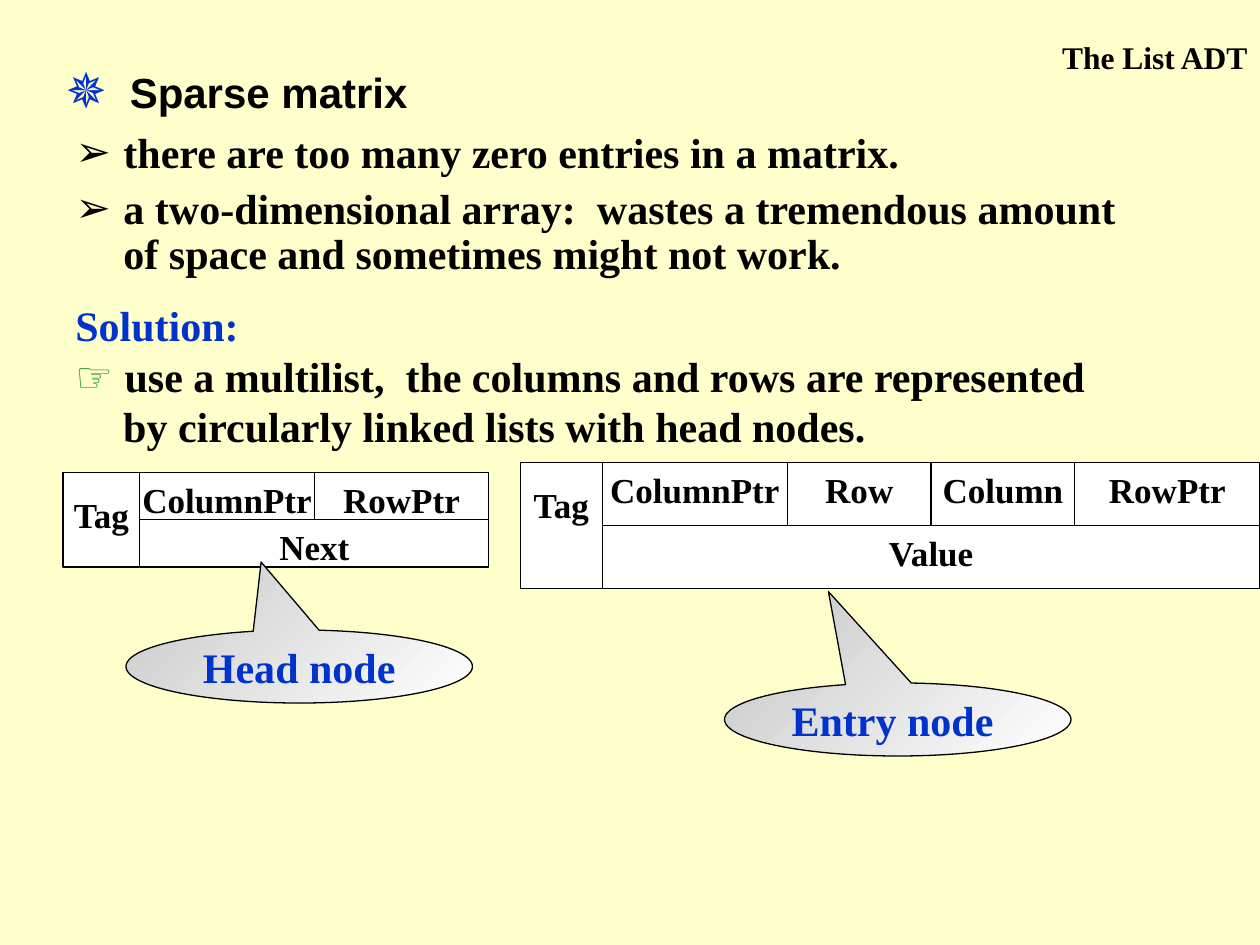
from dataclasses import dataclass

import lxml.etree
import pptx
import pptx.dml.color
import pptx.enum.shapes
import pptx.enum.text
import pptx.oxml.ns
import pptx.util
from pptx.util import Inches

ALIGN = pptx.enum.text.PP_ALIGN
ANCHOR = pptx.enum.text.MSO_ANCHOR
SHAPE = pptx.enum.shapes.MSO_SHAPE


@dataclass(frozen=True)
class Theme:
    """Colours, type faces and type sizes of the slide."""
    background: str = "FFFFCC"
    ink: str = "000000"
    accent: str = "0033CC"
    pointer: str = "339933"
    cell: str = "FFFFFF"
    callout_dark: str = "CFCFCF"
    serif: str = "Times New Roman"
    sans: str = "Arial"
    star_size: int = 28
    text_size: int = 24
    field_size: int = 20
    header_size: int = 18
    line_width: float = 0.75


THEME = Theme()


def rgb(value):
    """Turn a hex value into a colour."""
    return pptx.dml.color.RGBColor.from_string(value)


def set_format(target, **values):
    """Set each named attribute of the target."""
    for name, value in values.items():
        setattr(target, name, value)


def place(part, box):
    """Move a part to a box of left, top, width and height in inches."""
    names = ("left", "top", "width", "height")
    set_format(part, **dict(zip(names, map(Inches, box))))


def write(paragraph, words, size=THEME.text_size, color=THEME.ink, face=THEME.serif, bold=True):
    """Add one formatted run to a paragraph."""
    run = paragraph.add_run()
    run.text = words
    set_format(run.font, size=pptx.util.Pt(size), name=face, bold=bold)
    run.font.color.rgb = rgb(color)


def set_frame(shape, anchor=ANCHOR.TOP, wrap=True, side=0.1, top=0.05):
    """Set up a text frame and return it."""
    frame = shape.text_frame
    set_format(
        frame, word_wrap=wrap, vertical_anchor=anchor,
        auto_size=pptx.enum.text.MSO_AUTO_SIZE.NONE,
        margin_left=Inches(side), margin_right=Inches(side),
        margin_top=Inches(top), margin_bottom=Inches(0.05),
    )
    return frame


def add_property(parent, tag, **attributes):
    """Append a drawing element with attributes and return it."""
    values = {name: str(value) for name, value in attributes.items()}
    return lxml.etree.SubElement(parent, pptx.oxml.ns.qn(tag), values)


def hang(paragraph, depth=0.38):
    """Give a paragraph a hanging indent and return its properties."""
    properties = paragraph._p.get_or_add_pPr()
    properties.set("marL", str(Inches(depth)))
    properties.set("indent", str(-Inches(depth)))
    return properties


def outline(shape):
    """Give a shape a thin line and no shadow."""
    shape.shadow.inherit = False
    shape.line.color.rgb = rgb(THEME.ink)
    shape.line.width = pptx.util.Pt(THEME.line_width)


def draw_title(slide, box):
    """Write the topic beside its star."""
    title = slide.shapes.title
    place(title, box)
    heading = set_frame(title).paragraphs[0]
    heading.alignment = ALIGN.LEFT
    stops = add_property(heading._p.get_or_add_pPr(), "a:tabLst")
    add_property(stops, "a:tab", pos=Inches(0.51), algn="l")
    write(heading, "✵", THEME.star_size, THEME.accent, THEME.sans, False)
    write(heading, "\tSparse matrix", face=THEME.sans)


def draw_header(slide, box):
    """Write the chapter name at the right edge."""
    header = slide.shapes.add_textbox(*map(Inches, box))
    chapter = set_frame(header).paragraphs[0]
    chapter.alignment = ALIGN.RIGHT
    write(chapter, "The List ADT", THEME.header_size)


def draw_problems(slide, box, problems):
    """List the problems in the body placeholder."""
    body = slide.placeholders[1]
    place(body, box)
    frame = set_frame(body)
    for index, problem in enumerate(problems):
        item = frame.add_paragraph() if index else frame.paragraphs[0]
        set_format(item, line_spacing=0.9, space_before=pptx.util.Pt(6 if index else 0))
        properties = hang(item)
        color = add_property(properties, "a:buClr")
        add_property(color, "a:srgbClr", val=THEME.ink)
        add_property(properties, "a:buFont", typeface=THEME.sans)
        add_property(properties, "a:buChar", char="➢")
        write(item, problem)


def draw_solution(slide, box):
    """Write the solution and its pointing hand."""
    solution = slide.shapes.add_textbox(*map(Inches, box))
    frame = set_frame(solution)
    label, answer = frame.paragraphs[0], frame.add_paragraph()
    for paragraph in (label, answer):
        hang(paragraph)
    write(label, "Solution:", color=THEME.accent)
    write(answer, "☞ ", color=THEME.pointer, face=THEME.sans)
    write(answer, "use a multilist,  the columns and rows are represented "
                  "by circularly linked lists with head nodes.")


def draw_field(node, box, label, top=0.05):
    """Draw one named field of a node."""
    field = node.shapes.add_shape(SHAPE.RECTANGLE, *map(Inches, box))
    outline(field)
    field.fill.solid()
    field.fill.fore_color.rgb = rgb(THEME.cell)
    name = set_frame(field, side=0.02, top=top).paragraphs[0]
    name.alignment = ALIGN.CENTER
    write(name, label, THEME.field_size)


def draw_node(slide, box, tag_width, upper_fields, lower_field):
    """Draw a node: a tag, a row of upper fields and one lower field."""
    left, top, width, height = box
    node = slide.shapes.add_group_shape()
    row_height = height / 2
    fields_left = left + tag_width
    fields_width = width - tag_width
    scale = fields_width / sum(share for _, share in upper_fields)
    field_left = fields_left
    for label, share in upper_fields:
        draw_field(node, (field_left, top, share * scale, row_height), label)
        field_left += share * scale
    draw_field(node, (fields_left, top + row_height, fields_width, row_height), lower_field)
    draw_field(node, (left, top, tag_width, height), "Tag", top=0.17)


def draw_callout(slide, box, label, tip):
    """Draw a shaded callout whose tip points at a node."""
    callout = slide.shapes.add_shape(SHAPE.OVAL_CALLOUT, *map(Inches, box))
    outline(callout)
    for index, offset in enumerate(tip):
        callout.adjustments[index] = offset
    callout.fill.gradient()
    callout.fill.gradient_angle = 315
    for stop, color in zip(callout.fill.gradient_stops, (THEME.callout_dark, THEME.cell)):
        stop.color.rgb = rgb(color)
    name = set_frame(callout, ANCHOR.MIDDLE, wrap=False).paragraphs[0]
    name.alignment = ALIGN.CENTER
    write(name, label, color=THEME.accent)


def main():
    """Build the slide and save it."""
    deck = pptx.Presentation()
    set_format(deck, slide_width=Inches(10), slide_height=Inches(7.5))
    slide = deck.slides.add_slide(deck.slide_layouts[1])
    slide.background.fill.solid()
    slide.background.fill.fore_color.rgb = rgb(THEME.background)
    draw_problems(slide, (0.5, 1, 8.5, 1.33), (
        "there are too many zero entries in a matrix.",
        "a two-dimensional array:  wastes a tremendous amount "
        "of space and sometimes might not work.",
    ))
    draw_title(slide, (0.42, 0.42, 4, 0.57))
    draw_header(slide, (7.59, 0.25, 2.41, 0.4))
    draw_solution(slide, (0.5, 2.33, 8.5, 1.67))
    draw_node(slide, (0.5, 3.75, 3.38, 0.75), 0.61, (("ColumnPtr", 1), ("RowPtr", 1)), "Next")
    entry_fields = (("ColumnPtr", 1.47), ("Row", 1.14), ("Column", 1.14), ("RowPtr", 1.47))
    draw_node(slide, (4.13, 3.67, 5.87, 1), 0.65, entry_fields, "Value")
    draw_callout(slide, (5.75, 5.42, 2.75, 0.58), "Entry node ", (-0.2, -1.75))
    draw_callout(slide, (1, 5, 2.75, 0.58), "Head node", (-0.11, -1.43))
    deck.save("out.pptx")


if __name__ == "__main__":
    main()
